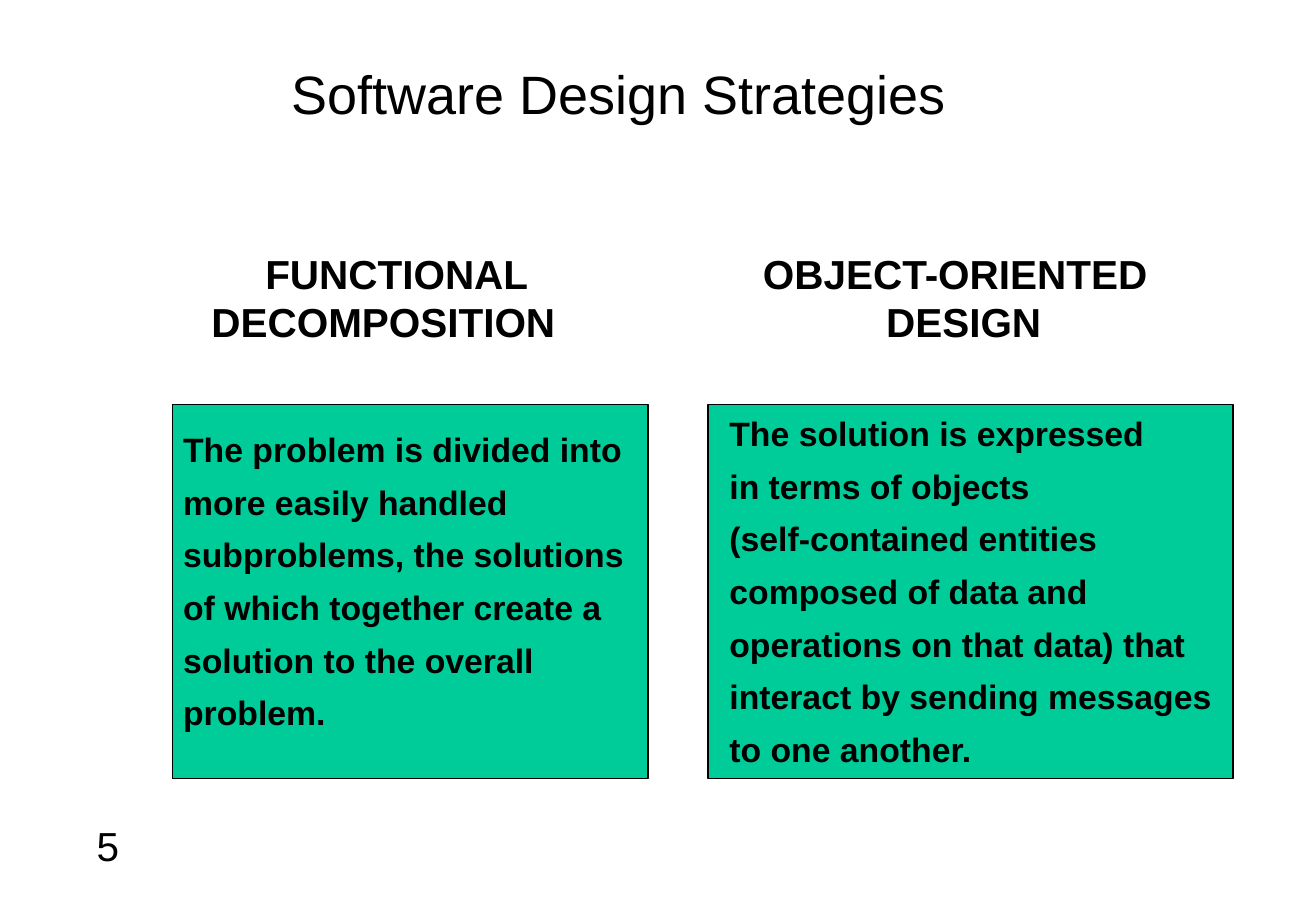
from dataclasses import dataclass, field
from typing import Any

from lxml.etree import SubElement
from pptx import Presentation
from pptx.dml.color import RGBColor
from pptx.enum.shapes import MSO_SHAPE
from pptx.enum.text import MSO_AUTO_SIZE, PP_ALIGN
from pptx.oxml.ns import qn
from pptx.slide import Slide
from pptx.util import Inches, Pt

BLACK = "000000"
GREEN = "00CC99"


@dataclass
class TextBlock:
    """Lines of text with their place and format."""
    lines: list[str]
    at: tuple[float, float, float, float]
    size: int
    bold: bool = False
    frame_format: dict[str, Any] = field(default_factory=dict)
    line_format: dict[str, Any] = field(default_factory=dict)
    centre_tabs: list[tuple[float, float]] = field(default_factory=list)


@dataclass
class Panel:
    """A filled rectangle behind a strategy's description."""
    left: float
    width: float


def colour(hex_code: str) -> RGBColor:
    """Turn a hex string into a colour."""
    return RGBColor.from_string(hex_code)


def apply_format(target: Any, values: dict[str, Any]) -> None:
    """Set each named attribute on the target."""
    for name, value in values.items():
        setattr(target, name, value)


def draw_panel(slide: Slide, panel: Panel) -> None:
    """Draw one green panel."""
    box = slide.shapes.add_shape(
        MSO_SHAPE.RECTANGLE, Inches(panel.left), Inches(3.33), Inches(panel.width), Inches(3.08))
    box.shadow.inherit = False
    box.fill.solid()
    box.fill.fore_color.rgb = colour(GREEN)
    box.line.color.rgb = colour(BLACK)
    box.line.width = Pt(1)


def draw_text(slide: Slide, block: TextBlock) -> None:
    """Draw one text block, a paragraph for each line."""
    frame = slide.shapes.add_textbox(*map(Inches, block.at)).text_frame
    apply_format(frame, {"word_wrap": True} | block.frame_format)
    for index, line in enumerate(block.lines):
        paragraph = frame.add_paragraph() if index else frame.paragraphs[0]
        apply_format(paragraph, block.line_format)
        if block.centre_tabs:
            tab_list = SubElement(paragraph._p.get_or_add_pPr(), qn("a:tabLst"))
            for position in block.centre_tabs[index]:
                SubElement(tab_list, qn("a:tab"), pos=str(Inches(position)), algn="ctr")
        run = paragraph.add_run()
        run.text = line
        apply_format(run.font, {"name": "Arial", "size": Pt(block.size), "bold": block.bold})
        run.font.color.rgb = colour(BLACK)


def main() -> None:
    """Build the slide on software design strategies."""
    presentation = Presentation()
    apply_format(presentation, {"slide_width": Inches(10.84), "slide_height": Inches(7.5)})
    slide = presentation.slides.add_slide(presentation.slide_layouts[6])

    description_frame = {"word_wrap": False, "auto_size": MSO_AUTO_SIZE.SHAPE_TO_FIT_TEXT}
    description_line = {"line_spacing": 1.3}

    page_number = TextBlock(["5"], (0.25, 6.71, 0.83, 0.5), 24,
                            line_format={"alignment": PP_ALIGN.RIGHT})
    title = TextBlock(["Software Design Strategies"], (1.33, 0.45, 8.42, 0.63), 32,
                      frame_format={"margin_right": Inches(0.98)},
                      line_format={"alignment": PP_ALIGN.CENTER})
    headings = TextBlock(
        ["\tFUNCTIONAL\tOBJECT-ORIENTED", "\tDECOMPOSITION\tDESIGN"], (1, 2, 9, 0.9), 24, True,
        centre_tabs=[(2.17, 6.77), (2.06, 6.84)])
    object_oriented = TextBlock(
        ["The solution is expressed", "in terms of objects", "(self-contained entities",
         "composed of data and", "operations on that data) that",
         "interact by sending messages", "to one another."],
        (5.91, 3.25, 4.25, 3.14), 20, True, description_frame, description_line)
    functional = TextBlock(
        ["The problem is divided into", "more easily handled", "subproblems, the solutions",
         "of which together create a", "solution to the overall", "problem."],
        (1.41, 3.38, 3.89, 2.71), 20, True, description_frame, description_line)

    for panel in (Panel(5.83, 4.33), Panel(1.42, 3.92)):
        draw_panel(slide, panel)
    for block in (title, headings, functional, object_oriented, page_number):
        draw_text(slide, block)
    presentation.save("out.pptx")


if __name__ == "__main__":
    main()
